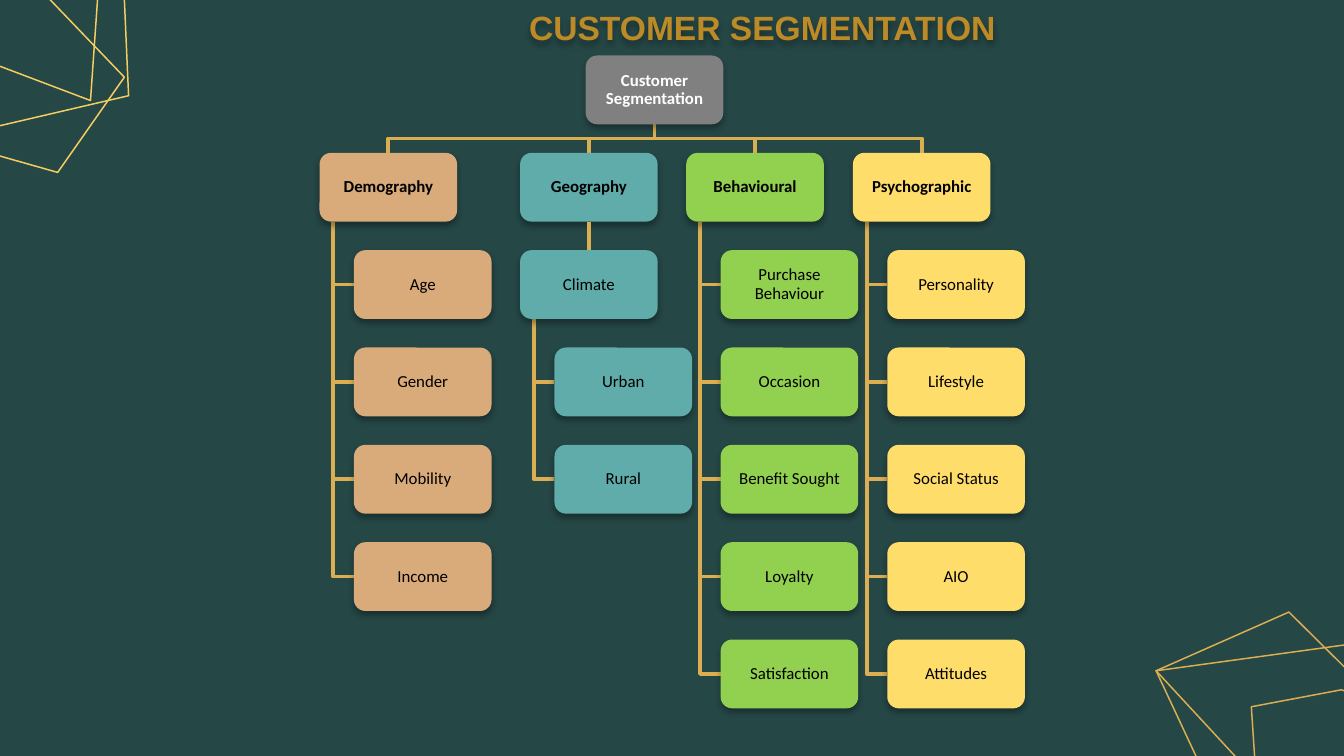
from dataclasses import dataclass

from lxml import etree
from pptx import Presentation
from pptx import util as u
from pptx.dml.color import RGBColor
from pptx.enum import shapes, text
from pptx.oxml import ns, parse_xml


@dataclass
class Theme:
    back: str = "254746"
    title: str = "BC8A26"
    wire: str = "DCAE52"
    art: str = "F5CE60"
    pale: str = "FFDD6B"
    root: str = "808080"
    tan: str = "D9AA7A"
    teal: str = "60ACAA"
    green: str = "92D050"
    white: str = "FFFFFF"
    black: str = "000000"
    big: int = 18
    small: int = 9


look = Theme()
rgb = RGBColor.from_string
deck = Presentation()
deck.slide_width, deck.slide_height = u.Cm(25.4), u.Cm(14.29)
slide = deck.slides.add_slide(deck.slide_layouts[6])
slide.background.fill.solid()
slide.background.fill.fore_color.rgb = rgb(look.back)

SHADE = (
    f'<a:effectLst {ns.nsdecls("a")}><a:outerShdw blurRad="44450" dist="27940" '
    'dir="5400000" rotWithShape="0"><a:srgbClr val="000000"><a:alpha val="32000"/>'
    "</a:srgbClr></a:outerShdw></a:effectLst>"
)


def write(words, left, top, wide, high, fill=None, color=look.black,
          size=look.small, font="Calibri", bold=False):
    """Add shadowed text, in a rounded box if a fill is given."""
    area = [u.Cm(n) for n in (left, top, wide, high)]
    if fill:
        box = slide.shapes.add_shape(shapes.MSO_SHAPE.ROUNDED_RECTANGLE, *area)
        box.fill.solid()
        box.fill.fore_color.rgb = rgb(fill)
        box.line.fill.background()
    else:
        box = slide.shapes.add_textbox(*area)
    box.element.spPr.append(parse_xml(SHADE))
    frame = box.text_frame
    frame.word_wrap = True
    para = frame.paragraphs[0]
    if fill:
        frame.margin_left = frame.margin_right = u.Cm(0.03)
        frame.margin_top = frame.margin_bottom = u.Cm(0.03)
        frame.vertical_anchor = text.MSO_ANCHOR.MIDDLE
        para.alignment = text.PP_ALIGN.CENTER
        para.line_spacing = 0.9
    run = para.add_run()
    run.text = words
    run.font.name, run.font.size, run.font.bold = font, u.Pt(size), bold
    run.font.color.rgb = rgb(color)
    return box


def trace(dots, color=look.wire, weight=2, close=False):
    """Draw an unfilled line through the dots, given in cm."""
    first, *rest = [(u.Cm(x), u.Cm(y)) for x, y in dots]
    pen = slide.shapes.build_freeform(*first)
    pen.add_line_segments(rest, close=close)
    shape = pen.convert_to_shape()
    shape.shadow.inherit = False
    shape.fill.background()
    shape.line.color.rgb = rgb(color)
    shape.line.width = u.Pt(weight)


# Corner outlines, running past the slide edge
art = [
    (look.art, [(2.11, -3.82), (1.71, 1.9), (-3.68, -0.14), (-4.97, -2.86)]),
    (look.wire, [(28.47, 14.08), (28.61, 16.28), (25.55, 17.08), (23.72, 14.43),
                 (23.65, 13.36), (25.35, 13.04)]),
    (look.wire, [(27.63, 14.81), (26.73, 16.17), (24.56, 15.61), (21.85, 12.68),
                 (24.36, 11.57)]),
    (look.wire, [(27.03, 11.97), (26.73, 16.16), (22.78, 14.67), (21.85, 12.68)]),
    (look.art, [(2.3, -1.18), (2.43, 1.81), (-1.73, 2.78), (-4.11, -0.88),
                (-4.18, -2.32), (-1.88, -2.68)]),
    (look.art, [(2.35, 1.46), (1.09, 3.26), (-1.8, 2.44), (-5.38, -1.61),
                (-1.96, -3.04)]),
]
for color, dots in art:
    trace(dots, color=color, weight=0.8, close=True)

# Title
write("CUSTOMER SEGMENTATION", 9.75, 0, 9.63, 1.02, color=look.title,
      size=look.big, font="Arial", bold=True)

# Tree grid, in cm
WIDE, HIGH, TOP, PITCH = 2.6, 1.3, 2.89, 1.84
INDENT, SPINE, BUS = 0.65, 0.26, 2.62
MID, CROWN = 12.37, 1.05

# Each branch: left edge, fill, stacked heads, items under the last head
tree = [
    (6.04, look.tan, ["Demography"], ["Age", "Gender", "Mobility", "Income"]),
    (9.83, look.teal, ["Geography", "Climate"], ["Urban", "Rural"]),
    (12.97, look.green, ["Behavioural"],
     ["Purchase Behaviour", "Occasion", "Benefit Sought", "Loyalty", "Satisfaction"]),
    (16.12, look.pale, ["Psychographic"],
     ["Personality", "Lifestyle", "Social Status", "AIO", "Attitudes"]),
]

# Bent lines, behind the boxes
for left, fill, heads, items in tree:
    mid, spine = left + WIDE / 2, left + SPINE
    trace([(MID, CROWN + HIGH), (MID, BUS), (mid, BUS), (mid, TOP)])
    base = TOP + (len(heads) - 1) * PITCH + HIGH
    for row in range(len(heads), len(heads + items)):
        level = TOP + row * PITCH + HIGH / 2
        trace([(spine, base), (spine, level), (left + INDENT, level)])

# Boxes
write("Customer Segmentation", MID - WIDE / 2, CROWN, WIDE, HIGH,
      fill=look.root, color=look.white, bold=True)
for left, fill, heads, items in tree:
    stack = []
    for row, name in enumerate(heads + items):
        shift = 0 if row < len(heads) else INDENT
        stack.append(write(name, left + shift, TOP + row * PITCH, WIDE, HIGH,
                           fill=fill, bold=row == 0))

    # Straight stems between stacked heads
    for upper, lower in zip(stack, stack[1:len(heads)]):
        stem = slide.shapes.add_connector(shapes.MSO_CONNECTOR.STRAIGHT, 0, 0, 0, 0)
        stem.begin_connect(upper, 2)
        stem.end_connect(lower, 0)
        stem.line.color.rgb = rgb(look.wire)
        stem.line.width = u.Pt(2)
        etree.SubElement(stem.element.spPr, ns.qn("a:effectLst"))

deck.save("out.pptx")
